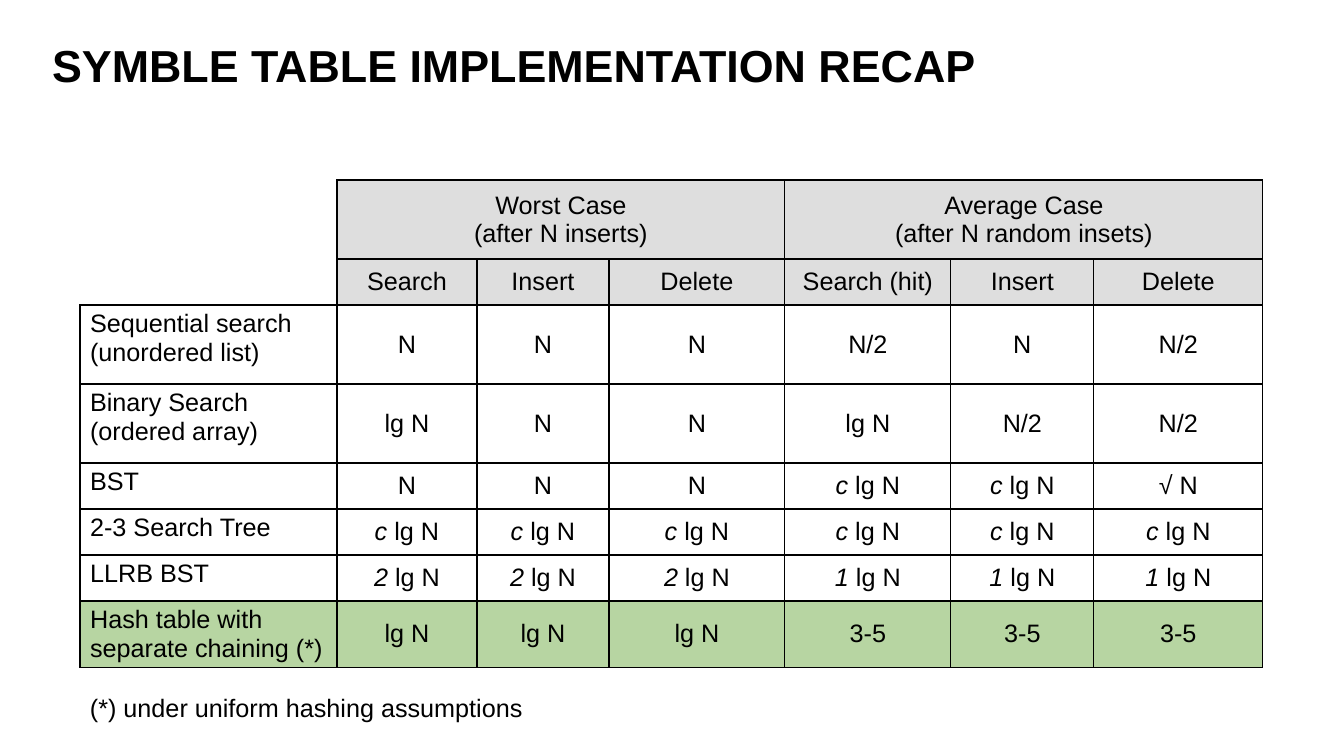
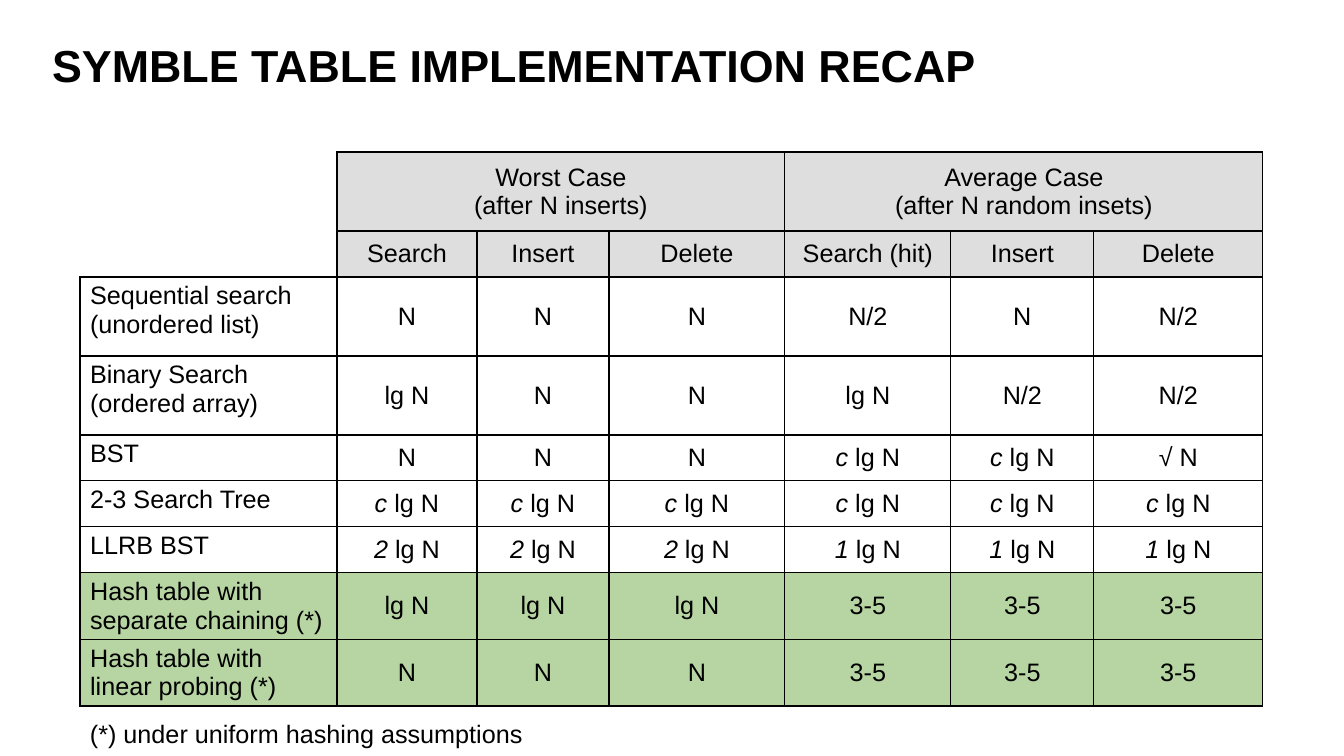
"""Build two recap slides comparing symbol table implementations."""
from lxml import etree
from pptx import Presentation
from pptx import util as u
from pptx.dml.color import RGBColor
from pptx.enum import text
from pptx.oxml.ns import qn

FONT, BLACK, GRAY, GREEN = "Arial", "000000", "BFBFBF", "70AD47"
TITLE = "SYMBLE TABLE IMPLEMENTATION RECAP"
NOTE = "(*) under uniform hashing assumptions"
COLS = [257, 140, 132, 176, 166, 143, 169]
LG = "c lg N"
ROWS = [
    (79, GRAY, ["", "Worst Case\n(after N inserts)", "", "",
                "Average Case\n(after N random insets)", "", ""]),
    (46, GRAY, ["", "Search", "Insert", "Delete", "Search (hit)", "Insert", "Delete"]),
    (79, None, ["Sequential search (unordered list)", "N", "N", "N", "N/2", "N", "N/2"]),
    (79, None, ["Binary Search (ordered array)", "lg N", "N", "N", "lg N", "N/2", "N/2"]),
    (46, None, ["BST", "N", "N", "N", LG, LG, "√ N"]),
    (46, None, ["2-3 Search Tree"] + [LG] * 6),
    (46, None, ["LLRB BST"] + ["2 lg N"] * 3 + ["1 lg N"] * 3),
    (66, GREEN, ["Hash table with separate chaining (*)"] + ["lg N"] * 3 + ["3-5"] * 3),
    (66, GREEN, ["Hash table with linear probing (*)"] + ["N"] * 3 + ["3-5"] * 3),
]
SLIDES = [(180, 687, ROWS[:-1]), (152, 713, ROWS)]


def px(n):
    return u.Emu(round(n * 12192000 / 1344))


def set_font(font, size, bold=False):
    font.name, font.size, font.bold = FONT, u.Pt(size), bold
    font.color.rgb = RGBColor.from_string(BLACK)


prs = Presentation()
prs.slide_width, prs.slide_height = px(1344), px(756)

for table_top, note_top, rows in SLIDES:
    s = prs.slides.add_slide(prs.slide_layouts[5])
    title = s.shapes.title
    title.left, title.top, title.width, title.height = px(42), px(28), px(1117), px(80)
    tf = title.text_frame
    tf.text = TITLE
    tf.auto_size = text.MSO_AUTO_SIZE.NONE
    tf.vertical_anchor = text.MSO_ANCHOR.MIDDLE
    p = tf.paragraphs[0]
    p.alignment, p.line_spacing = text.PP_ALIGN.LEFT, 0.9
    set_font(p.font, 32, True)

    height = sum(row[0] for row in rows)
    table = s.shapes.add_table(len(rows), len(COLS), px(80), px(table_top),
                               px(sum(COLS)), px(height)).table
    table.first_row = table.horz_banding = False
    for column, width in zip(table.columns, COLS):
        column.width = px(width)

    for i, (row_height, color, values) in enumerate(rows):
        table.rows[i].height = px(row_height)
        for j, value in enumerate(values):
            cell = table.cell(i, j)
            corner = i < 2 and j == 0
            tcPr = cell._tc.get_or_add_tcPr()
            for side in "LRTB":
                ln = etree.SubElement(tcPr, qn(f"a:ln{side}"), w=str(u.Pt(1)))
                if corner and side in "LT":
                    etree.SubElement(ln, qn("a:noFill"))
                else:
                    line_fill = etree.SubElement(ln, qn("a:solidFill"))
                    etree.SubElement(line_fill, qn("a:srgbClr"), val=BLACK)
            if color and not corner:
                cell.fill.solid()
                cell.fill.fore_color.rgb = RGBColor.from_string(color)
                clr = tcPr.find(qn("a:solidFill")).find(qn("a:srgbClr"))
                etree.SubElement(clr, qn("a:alpha"), val="50000")
            else:
                cell.fill.background()

            tf = cell.text_frame
            coefficient, log, _ = value.partition(" lg N")
            if log:
                p = tf.paragraphs[0]
                r = p.add_run()
                r.text, r.font.italic = coefficient, True
                p.add_run().text = log
            else:
                tf.text = value
            if j:
                cell.vertical_anchor = text.MSO_ANCHOR.MIDDLE
            for p in tf.paragraphs:
                p.alignment = text.PP_ALIGN.CENTER if j else text.PP_ALIGN.LEFT
                set_font(p.font, 18)

    table.cell(0, 0).merge(table.cell(1, 0))
    for first in (1, 4):
        table.cell(0, first).merge(table.cell(0, first + 2))

    note = s.shapes.add_textbox(px(80), px(note_top), px(458), px(40))
    tf = note.text_frame
    tf.word_wrap = False
    tf.auto_size = text.MSO_AUTO_SIZE.SHAPE_TO_FIT_TEXT
    tf.text = NOTE
    set_font(tf.paragraphs[0].font, 18)

prs.save("out.pptx")
